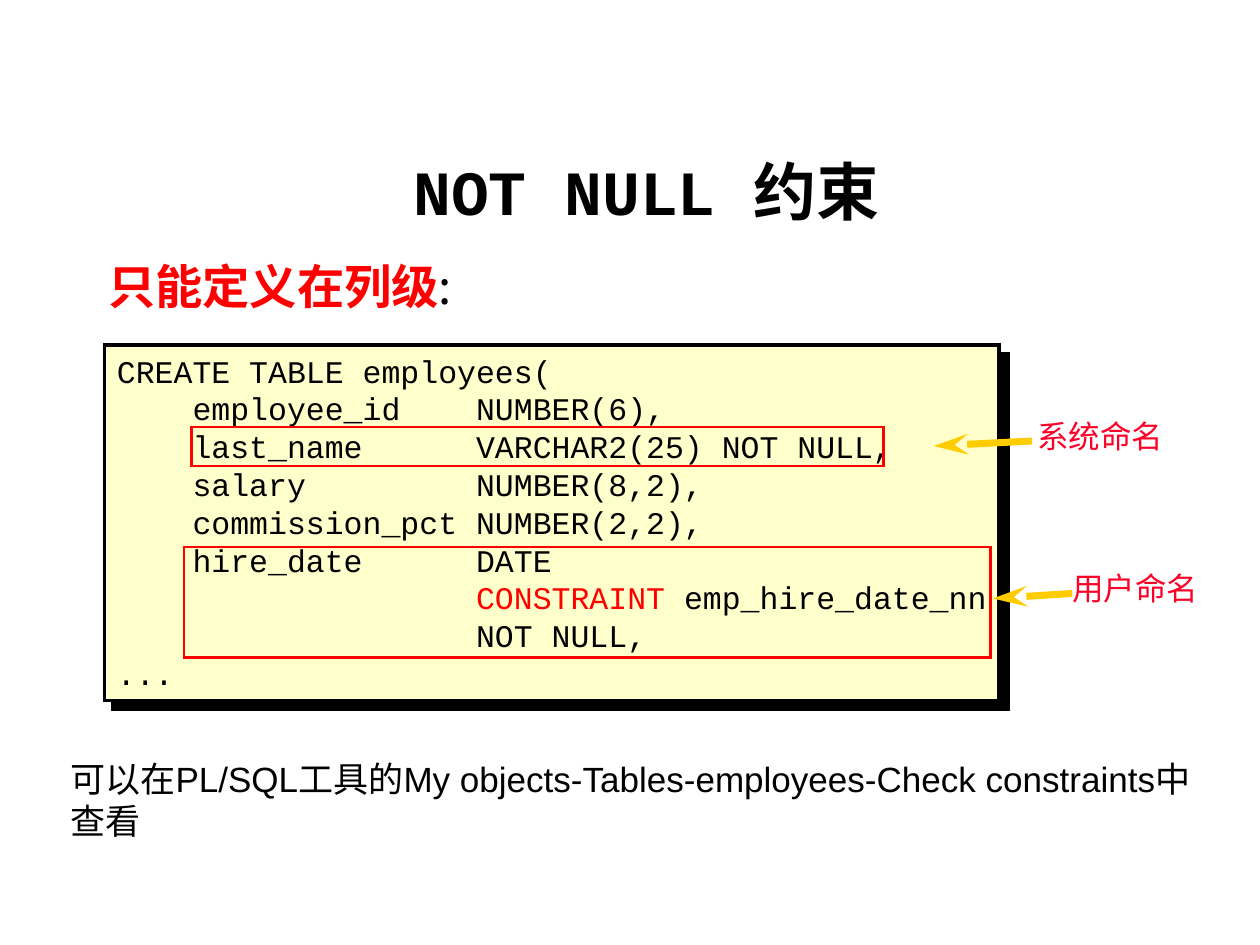
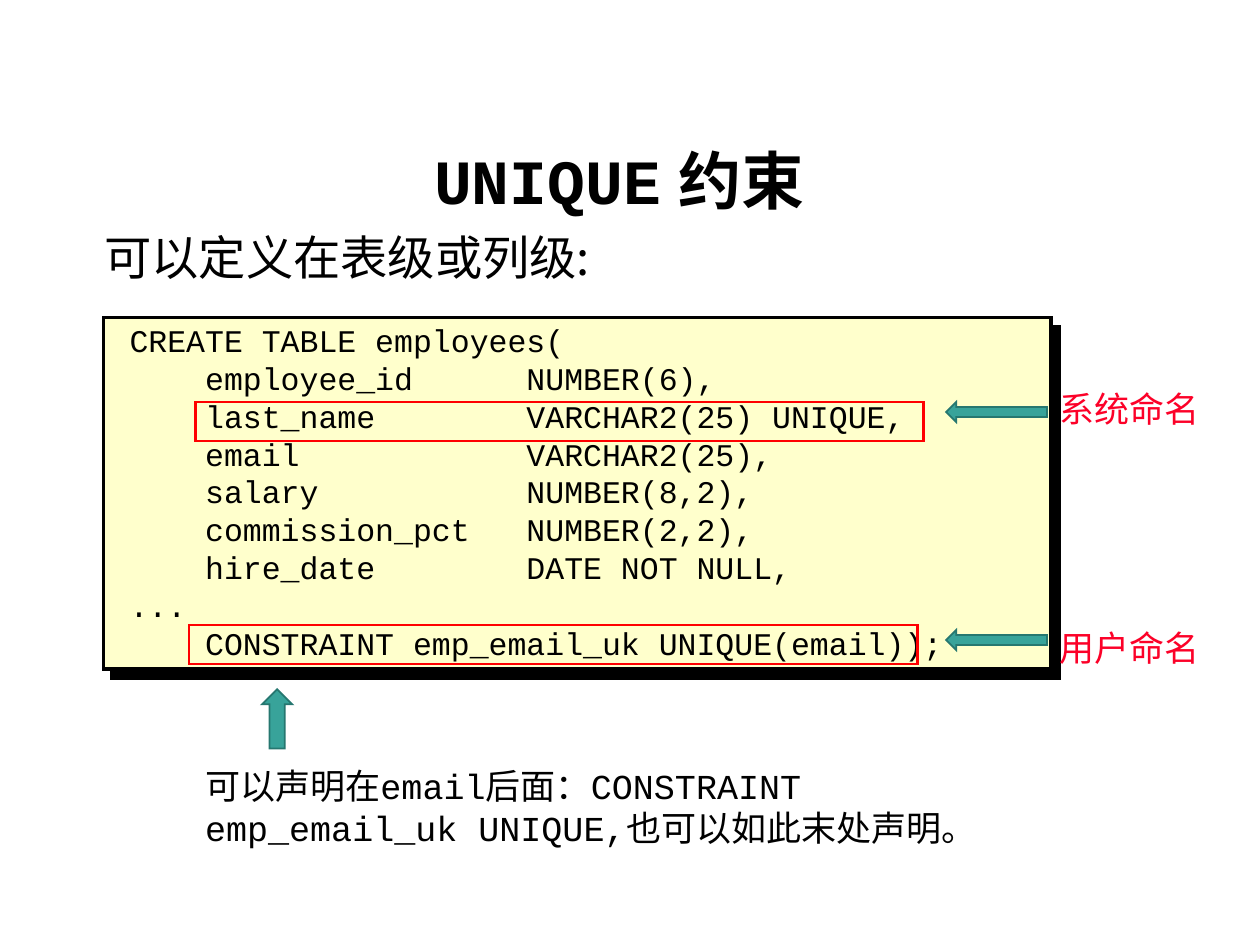
from lxml.etree import SubElement
from pptx import Presentation
from pptx.dml.color import RGBColor
from pptx.enum.shapes import MSO_CONNECTOR, MSO_SHAPE
from pptx.enum.text import MSO_ANCHOR, MSO_AUTO_SIZE, PP_ALIGN
from pptx.oxml.ns import qn
from pptx.util import Inches, Pt

# Shared colours, fonts and text formats
BLACK, RED, LABEL_RED = "000000", "FF0000", "FC0128"
CODE_FILL, ARROW_YELLOW, TEAL, DARK_TEAL = "FFFFCC", "FFCC00", "38A39A", "267770"
COURIER, ARIAL, CJK = "Courier New", "Arial", "Noto Sans CJK SC"
to_colour = RGBColor.from_string

TITLE = {"name": COURIER, "size": Pt(36), "bold": True}
LEAD = {"name": CJK, "size": Pt(27)}
CODE = {"name": COURIER, "size": Pt(18)}


def write_text(frame, paragraphs, base, **frame_format):
    """Each paragraph is a list of (text, font changes) pairs."""
    for attribute, value in ({"word_wrap": True} | frame_format).items():
        setattr(frame, attribute, value)
    for index, runs in enumerate(paragraphs):
        paragraph = frame.add_paragraph() if index else frame.paragraphs[0]
        for text, changes in runs:
            run = paragraph.add_run()
            run.text = text
            font_format = {"color": BLACK} | base | changes
            run.font.color.rgb = to_colour(font_format.pop("color"))
            for attribute, value in font_format.items():
                setattr(run.font, attribute, value)
            east_asian = SubElement(run.font._element, qn("a:ea"))
            east_asian.set("typeface", CJK)


def add_figure(slide, preset, place, fill, line, width):
    figure = slide.shapes.add_shape(preset, *map(Inches, place))
    figure.shadow.inherit = False
    if fill:
        figure.fill.solid()
        figure.fill.fore_color.rgb = to_colour(fill)
    else:
        figure.fill.background()
    figure.line.color.rgb = to_colour(line)
    figure.line.width = Pt(width)
    SubElement(figure.line._get_or_add_ln(), qn("a:miter"), lim="800000")
    return figure


# Content of the two slides
not_null = {
    "title": ("NOT NULL ", "约束", (0.92, 1.16, 8.42, 1.57)),
    "lead": ([("只能定义在列级", {"color": RED, "bold": True}), (":", {})],
             (0.76, 2.04, 8.08, 0.56)),
    "panel": (0.83, 2.74, 7.1, 2.82),
    "code_place": (0.83, 2.77, 7.4, 2.74),
    "code": """CREATE TABLE employees(
    employee_id    NUMBER(6),
    last_name      VARCHAR2(25) NOT NULL,
    salary         NUMBER(8,2),
    commission_pct NUMBER(2,2),
    hire_date      DATE
                   CONSTRAINT emp_hire_date_nn
                   NOT NULL,
...""",
    "red_word": "CONSTRAINT",
    "frames": [(1.52, 3.39, 5.49, 0.31), (1.46, 4.34, 6.4, 0.88)],
    "label_size": 18,
    "labels": [(" 系统命名", (8.08, 3.26, 1.73, 0.4)),
               ("用户命名", (8.41, 4.47, 1.39, 0.4))],
    "pointers": [(7.41, 3.54, 8.19, 3.5), (7.88, 4.75, 8.51, 4.71)],
    "block_arrows": [],
    "note": ("可以在PL/SQL工具的My objects-Tables-employees-Check constraints中查看",
             ARIAL, (0.46, 5.96, 9.34, 0.77)),
}
unique = {
    "title": ("UNIQUE", " 约束", (0.66, 1.07, 8.51, 1.57)),
    "lead": ([("可以定义在表级或列级:", {})], (0.73, 1.81, 8.86, 0.56)),
    "panel": (0.82, 2.52, 7.52, 2.79),
    "code_place": (0.93, 2.5, 7.3, 2.8),
    "code": """CREATE TABLE employees(
    employee_id      NUMBER(6),
    last_name        VARCHAR2(25) UNIQUE,
    email            VARCHAR2(25),
    salary           NUMBER(8,2),
    commission_pct   NUMBER(2,2),
    hire_date        DATE NOT NULL,
...
    CONSTRAINT emp_email_uk UNIQUE(email));""",
    "red_word": None,
    "frames": [(1.55, 3.19, 5.78, 0.31), (1.5, 4.96, 5.78, 0.31)],
    "label_size": 20,
    "labels": [(" 系统命名", (8.25, 3.03, 1.75, 0.43)),
               (" 用户命名", (8.25, 4.92, 1.75, 0.43))],
    "pointers": [],
    "block_arrows": [(MSO_SHAPE.UP_ARROW, (2.08, 5.47, 0.24, 0.47)),
                     (MSO_SHAPE.LEFT_ARROW, (7.51, 5, 0.8, 0.16)),
                     (MSO_SHAPE.LEFT_ARROW, (7.51, 3.19, 0.8, 0.16))],
    "note": ("可以声明在email后面：CONSTRAINT emp_email_uk UNIQUE,也可以如此末处声明。",
             COURIER, (1.53, 6.02, 6.93, 0.77)),
}

deck = Presentation()
deck.slide_width, deck.slide_height = Inches(10), Inches(7.5)

for constraint in (not_null, unique):
    slide = deck.slides.add_slide(deck.slide_layouts[5])

    # Title
    keyword, topic, place = constraint["title"]
    title = slide.shapes.title
    for attribute, value in zip(("left", "top", "width", "height"), place):
        setattr(title, attribute, Inches(value))
    write_text(title.text_frame, [[(keyword, {}), (topic, {"name": ARIAL})]],
               TITLE, vertical_anchor=MSO_ANCHOR.TOP)
    title.text_frame.paragraphs[0].alignment = PP_ALIGN.CENTER

    # Code panel with a hard shadow
    panel = add_figure(slide, MSO_SHAPE.RECTANGLE, constraint["panel"],
                       CODE_FILL, BLACK, 2)
    effects = panel._element.spPr.find(qn("a:effectLst"))
    shadow = SubElement(effects, qn("a:outerShdw"), blurRad="0",
                        dist=str(Pt(7.1)), dir="2700000", algn="ctr",
                        rotWithShape="0")
    SubElement(shadow, qn("a:srgbClr"), val=BLACK)

    # Lead sentence
    runs, place = constraint["lead"]
    lead = slide.shapes.add_textbox(*map(Inches, place))
    write_text(lead.text_frame, [runs], LEAD)
    lead.text_frame.paragraphs[0].line_spacing = 0.9

    # Code, with one word in red where asked
    code_lines = []
    red_word = constraint["red_word"]
    for code_line in constraint["code"].splitlines():
        if red_word and red_word in code_line:
            before, word, after = code_line.partition(red_word)
            code_lines.append([(before, {}), (word, {"color": RED}), (after, {})])
        else:
            code_lines.append([(code_line, {})])
    code = slide.shapes.add_textbox(*map(Inches, constraint["code_place"]))
    write_text(code.text_frame, code_lines, CODE,
               vertical_anchor=MSO_ANCHOR.MIDDLE)

    # Red frames around the constraints
    for place in constraint["frames"]:
        add_figure(slide, MSO_SHAPE.RECTANGLE, place, None, RED, 1.5)

    # Naming labels and the note below
    label_format = {"name": ARIAL, "size": Pt(constraint["label_size"]),
                    "color": LABEL_RED}
    note, note_font, note_place = constraint["note"]
    captions = [(text, place, label_format) for text, place in constraint["labels"]]
    captions.append((note, note_place, {"name": note_font, "size": Pt(20)}))
    for text, place, text_format in captions:
        caption = slide.shapes.add_textbox(*map(Inches, place))
        write_text(caption.text_frame, [[(text, {})]], text_format,
                   auto_size=MSO_AUTO_SIZE.SHAPE_TO_FIT_TEXT)

    # Arrows from the labels to the code
    for ends in constraint["pointers"]:
        pointer = slide.shapes.add_connector(MSO_CONNECTOR.STRAIGHT,
                                             *map(Inches, ends))
        pointer.line.color.rgb = to_colour(ARROW_YELLOW)
        pointer.line.width = Pt(4)
        SubElement(pointer.line._get_or_add_ln(), qn("a:headEnd"),
                   type="stealth", w="med", len="lg")
        SubElement(pointer._element.spPr, qn("a:effectLst"))
    for preset, place in constraint["block_arrows"]:
        add_figure(slide, preset, place, TEAL, DARK_TEAL, 1)

deck.save("out.pptx")
